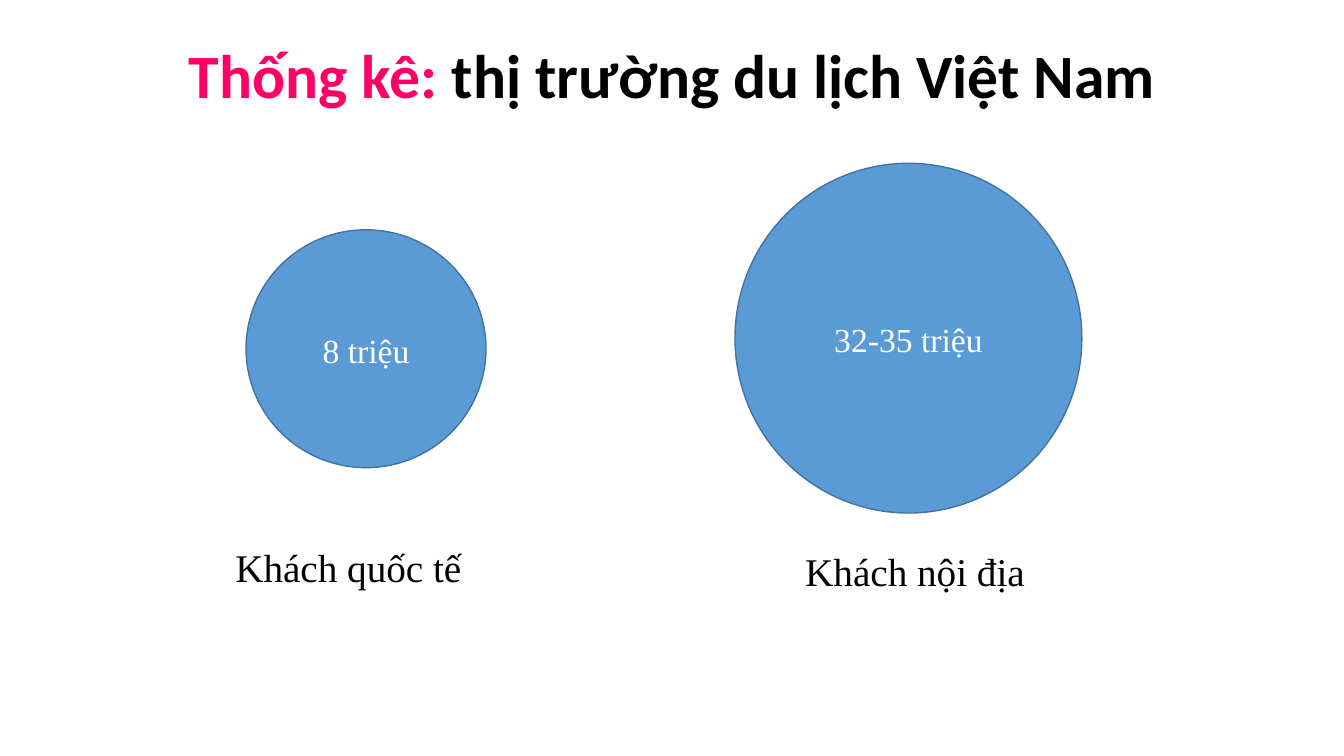
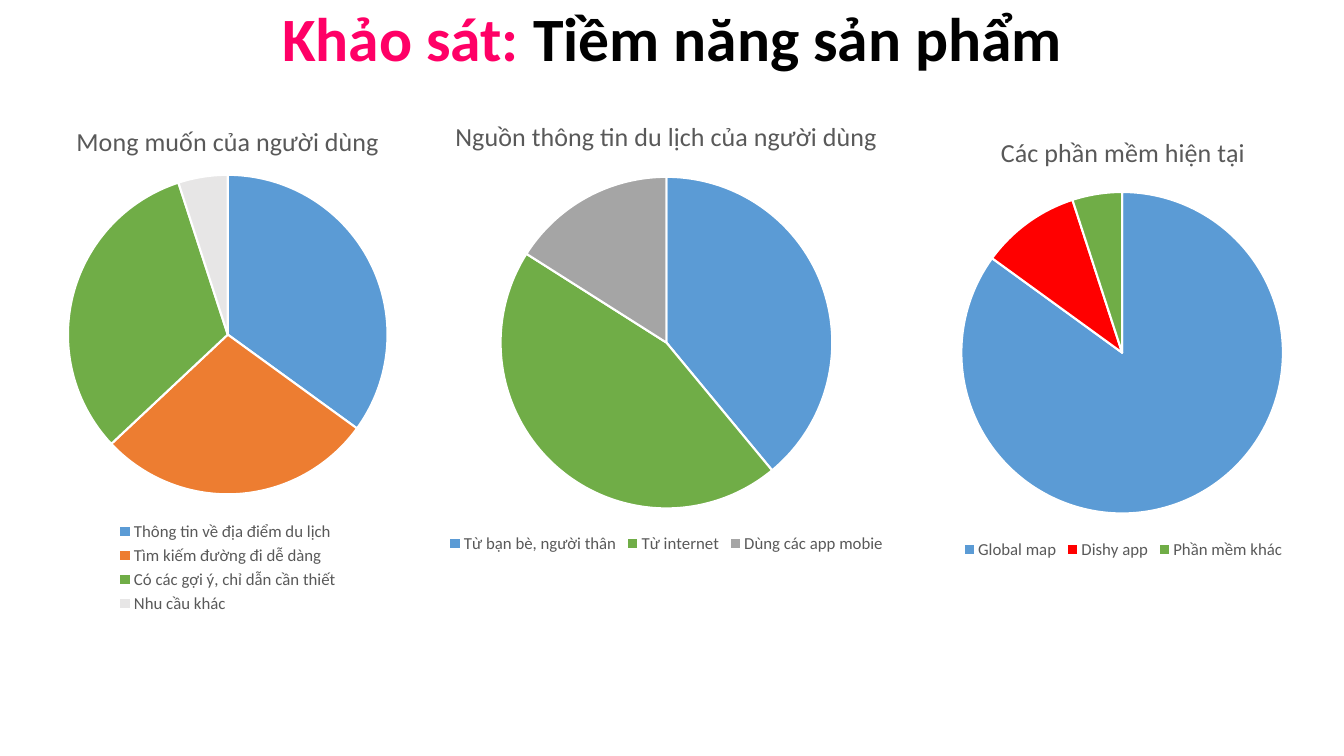
"""Build two slides on tourism in Vietnam: visitor counts and a user survey."""
from lxml.etree import SubElement
from pptx import Presentation
from pptx.chart.data import CategoryChartData
from pptx.dml.color import RGBColor
from pptx.enum.chart import XL_CHART_TYPE, XL_LEGEND_POSITION
from pptx.enum.shapes import MSO_SHAPE
from pptx.enum.text import MSO_ANCHOR, PP_ALIGN
from pptx.oxml.ns import qn
from pptx.util import Inches, Pt

PINK = RGBColor(0xFF, 0x00, 0x66)
BLACK = RGBColor(0x00, 0x00, 0x00)
WHITE = RGBColor(0xFF, 0xFF, 0xFF)
BLUE = RGBColor(0x5B, 0x9B, 0xD5)
NAVY = RGBColor(0x43, 0x73, 0x9E)
ORANGE = RGBColor(0xED, 0x7D, 0x31)
GREEN = RGBColor(0x70, 0xAD, 0x47)
RED = RGBColor(0xFF, 0x00, 0x00)
GRAY = RGBColor(0xA5, 0xA5, 0xA5)
PALE = RGBColor(0xE7, 0xE6, 0xE6)
TEXT = RGBColor(0x59, 0x59, 0x59)
SANS = "Calibri"
SERIF = "Times New Roman"


def style(font, name, size, color, bold=False):
    """Set the face, size, colour and weight of a font."""
    font.name, font.size, font.bold = name, Pt(size), bold
    font.color.rgb = color


def add_run(para, text, *look):
    """Add one styled run to a paragraph."""
    run = para.add_run()
    run.text = text
    style(run.font, *look)


def add_slide(deck, top, anchor, lead, rest):
    """Add a slide whose title has a pink lead and a black rest."""
    slide = deck.slides.add_slide(deck.slide_layouts[5])
    title = slide.shapes.title
    title.left, title.top = Inches(0.92), Inches(top)
    title.width, title.height = Inches(11.5), Inches(1.45)
    title.text_frame.vertical_anchor = anchor
    para = title.text_frame.paragraphs[0]
    para.alignment, para.line_spacing = PP_ALIGN.CENTER, 0.9
    add_run(para, lead, SANS, 44, PINK, True)
    add_run(para, rest, SANS, 44, BLACK, True)
    return slide


def add_label(slide, kind, box, text, size, color, fill, line):
    """Add a filled shape with centred serif text."""
    shape = slide.shapes.add_shape(kind, *map(Inches, box))
    shape.shadow.inherit = False
    shape.fill.solid()
    shape.fill.fore_color.rgb = fill
    shape.line.color.rgb = line
    shape.line.width = Pt(1)
    shape.text_frame.vertical_anchor = MSO_ANCHOR.MIDDLE
    para = shape.text_frame.paragraphs[0]
    para.alignment, para.line_spacing = PP_ALIGN.CENTER, 1.07
    para.space_after = Pt(8)
    add_run(para, text, SERIF, size, color)


def place_plot(chart, box, mid, size):
    """Fix the pie's centre and diameter, given in slide inches."""
    left, top, width, height = box
    area = chart._chartSpace.chart.plotArea
    for old in area.findall(qn("c:layout")):
        area.remove(old)
    layout = area.makeelement(qn("c:layout"))
    area.insert(0, layout)
    manual = SubElement(layout, qn("c:manualLayout"))
    rules = {
        "layoutTarget": "inner", "xMode": "edge", "yMode": "edge",
        "x": (mid[0] - size / 2 - left) / width,
        "y": (mid[1] - size / 2 - top) / height,
        "w": size / width, "h": size / height,
    }
    for tag, val in rules.items():
        SubElement(manual, qn("c:" + tag)).set("val", str(val))


def add_pie(slide, box, mid, size, name, series, parts):
    """Add a titled pie from (category, value, colour) parts."""
    data = CategoryChartData()
    data.categories = [part[0] for part in parts]
    data.add_series(series, [part[1] for part in parts])
    frame = slide.shapes.add_chart(XL_CHART_TYPE.PIE, *map(Inches, box), data)
    chart = frame.chart
    style(chart.font, SANS, 10, BLACK)
    chart.has_title = True
    add_run(chart.chart_title.text_frame.paragraphs[0], name, SANS, 18.6, TEXT)
    chart.chart_title.include_in_layout = False
    chart.has_legend = True
    chart.legend.position = XL_LEGEND_POSITION.BOTTOM
    chart.legend.include_in_layout = False
    style(chart.legend.font, SANS, 12, TEXT)
    plot = chart.plots[0]
    plot.vary_by_categories = True
    for idx, part in enumerate(parts):
        face = plot.series[0].points[idx].format
        face.fill.solid()
        face.fill.fore_color.rgb = part[2]
        face.line.color.rgb = WHITE
        face.line.width = Pt(1.5)
    place_plot(chart, box, mid, size)


def add_stats(deck):
    """Build the slide that compares visitor counts."""
    slide = add_slide(deck, 0.4, MSO_ANCHOR.TOP,
                      "Thống kê: ", "thị trường du lịch Việt Nam")
    for box, text in (((2.44, 2.28, 2.38, 2.36), "8 triệu"),
                      ((7.29, 1.62, 3.44, 3.47), "32-35 triệu")):
        add_label(slide, MSO_SHAPE.OVAL, box, text, 24, WHITE, BLUE, NAVY)
    for box, text in (((1.77, 5.33, 3.37, 0.56), "Khách quốc tế"),
                      ((7.42, 5.41, 3.31, 0.48), "Khách nội địa")):
        add_label(slide, MSO_SHAPE.RECTANGLE, box, text, 28, BLACK, WHITE, WHITE)


def add_survey(deck):
    """Build the slide with the three survey pies."""
    slide = add_slide(deck, -0.31, MSO_ANCHOR.MIDDLE,
                      "Khảo sát: ", "Tiềm năng sản phẩm")
    add_pie(slide, (0.13, 1.02, 4.26, 5.11), (2.26, 3.32), 3.17,
            "Mong muốn của người dùng", "Series 1", (
                ("Thông tin về địa điểm du lịch", 35, BLUE),
                ("Tìm kiếm đường đi dễ dàng", 28, ORANGE),
                ("Có các gợi ý, chỉ dẫn cần thiết", 32, GREEN),
                ("Nhu cầu khác", 5, PALE)))
    apps = "Các phần mềm hiện tại"
    add_pie(slide, (8.38, 1.14, 5.52, 4.45), (11.13, 3.5), 3.19, apps, apps, (
        ("Global map", 85, BLUE),
        ("Dishy app", 10, RED),
        ("Phần mềm khác", 5, GREEN)))
    news = "Nguồn thông tin du lịch của người dùng"
    add_pie(slide, (3.74, 0.98, 5.74, 4.55), (6.61, 3.4), 3.29, news, news, (
        ("Từ bạn bè, người thân", 39, BLUE),
        ("Từ internet", 45, GREEN),
        ("Dùng các app mobie", 16, GRAY)))


def main():
    """Build and save the deck."""
    deck = Presentation()
    deck.slide_width, deck.slide_height = Inches(13.33), Inches(7.5)
    add_stats(deck)
    add_survey(deck)
    deck.save("out.pptx")


main()
